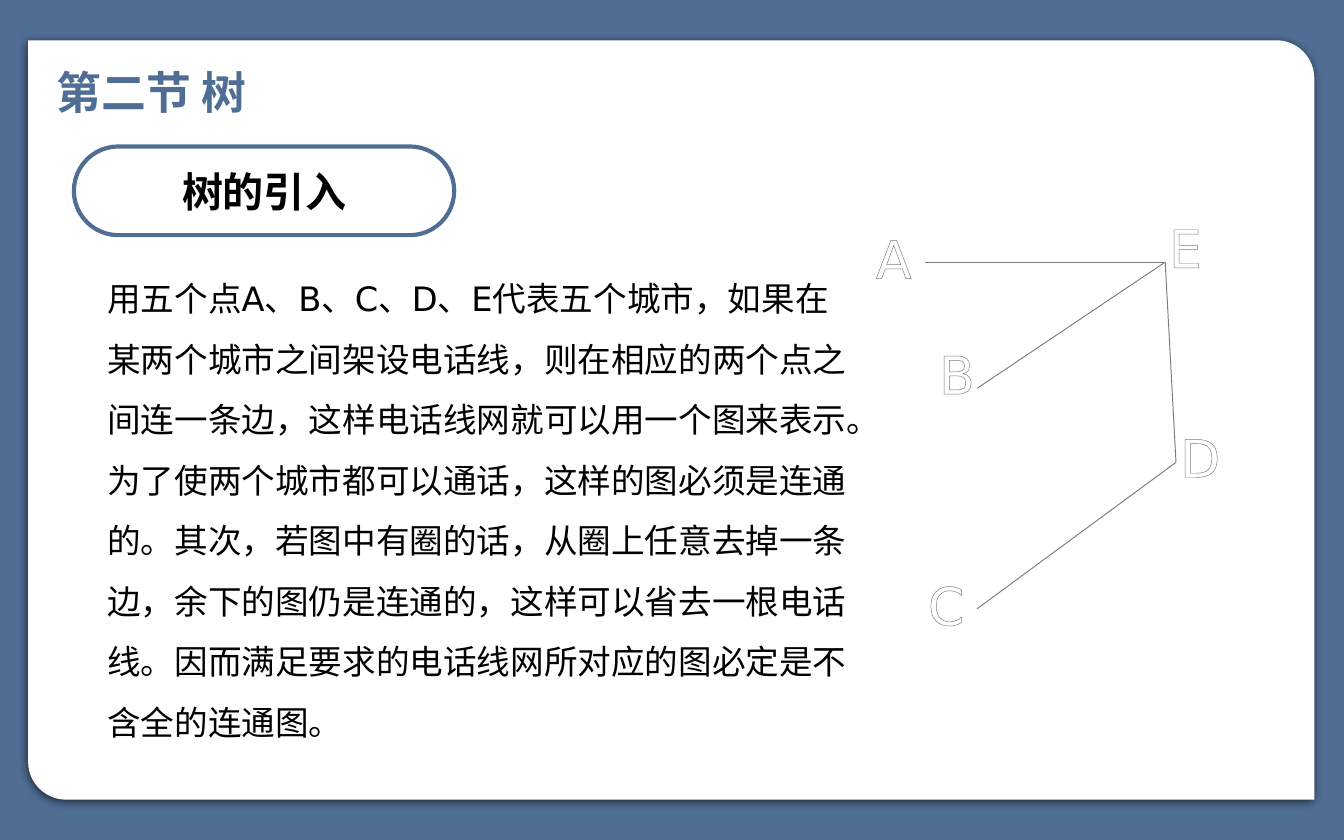
"""Build the slide that introduces trees with a telephone network graph."""
from lxml.etree import SubElement
from pptx import Presentation
from pptx.dml.color import RGBColor as RGB
from pptx.enum.shapes import MSO_CONNECTOR as CONN, MSO_SHAPE as SHAPE
from pptx.enum.text import MSO_ANCHOR as ANCHOR, MSO_AUTO_SIZE as FIT, PP_ALIGN as ALIGN
from pptx.oxml import parse_xml
from pptx.oxml.ns import nsdecls, qn
from pptx.util import Inches, Pt

TITLE = "第二节 树"
TOPIC = "树的引入"
BODY = (
    "用五个点A、B、C、D、E代表五个城市，如果在某两个城市之间架设电话线，"
    "则在相应的两个点之间连一条边，这样电话线网就可以用一个图来表示。"
    "为了使两个城市都可以通话，这样的图必须是连通的。"
    "其次，若图中有圈的话，从圈上任意去掉一条边，余下的图仍是连通的，"
    "这样可以省去一根电话线。因而满足要求的电话线网所对应的图必定是不含全的连通图。"
)
CITIES = {
    "A": {"point": (6.88, 1.95), "label": (6.65, 1.92)},
    "E": {"point": (8.67, 1.95), "label": (8.82, 1.84)},
    "B": {"point": (7.27, 2.89), "label": (7.12, 2.78)},
    "D": {"point": (8.75, 3.44), "label": (8.93, 3.4)},
    "C": {"point": (7.27, 4.53), "label": (7.04, 4.5)},
}
EDGES = ["AE", "ED", "EB", "DC"]
LABEL_SIZE = (0.48, 0.57)

THEME = {
    "font": "DejaVu Sans",
    "blue": RGB.from_string("506E94"),
    "gray": RGB.from_string("797B7E"),
    "white": RGB.from_string("FFFFFF"),
    "black": RGB.from_string("000000"),
    "title": Pt(24), "topic": Pt(22), "body": Pt(18), "label": Pt(28),
}
SHADOW = (
    f'<a:effectLst {nsdecls("a")}><a:outerShdw blurRad="{Pt(4.5)}" dist="{Pt(1.5)}" '
    'dir="5400000" algn="t" rotWithShape="0"><a:srgbClr val="000000">'
    '<a:alpha val="63000"/></a:srgbClr></a:outerShdw></a:effectLst>'
)
OUTLINE = (
    f'<a:ln {nsdecls("a")} w="{Pt(0.8)}"><a:solidFill>'
    f'<a:srgbClr val="{THEME["gray"]}"/></a:solidFill></a:ln>'
)


def place(sp, box):
    for name, value in zip(("left", "top", "width", "height"), box):
        setattr(sp, name, Inches(value))


def write(sp, text, size, color, bold=False, align=ALIGN.LEFT, spacing=1.0, **frame):
    tf = sp.text_frame
    settings = {"word_wrap": True, "auto_size": FIT.NONE, "vertical_anchor": ANCHOR.TOP}
    for name, value in {**settings, **frame}.items():
        setattr(tf, name, value)
    p = tf.paragraphs[0]
    for name, value in {"alignment": align, "line_spacing": spacing, "space_before": Pt(0)}.items():
        setattr(p, name, value)
    r = p.add_run()
    r.text = text
    for name, value in {"name": THEME["font"], "size": THEME[size], "bold": bold}.items():
        setattr(r.font, name, value)
    r.font.color.rgb = THEME[color]
    return r


def add_panel(s):
    sp = s.shapes.add_shape(SHAPE.ROUND_2_DIAG_RECTANGLE, 0, 0, 0, 0)
    place(sp, (0.21, 0.3, 9.57, 5.65))
    sp.adjustments[0], sp.adjustments[1] = 0.05, 0
    sp.fill.solid()
    sp.fill.fore_color.rgb = THEME["white"]
    sp.line.fill.background()
    sp._element.spPr.find(qn("a:xfrm")).set("flipH", "1")
    sp._element.spPr.append(parse_xml(SHADOW))
    s.shapes._spTree.insert(2, sp._element)


def add_topic(s):
    sp = s.shapes.add_shape(SHAPE.ROUNDED_RECTANGLE, 0, 0, 0, 0)
    place(sp, (0.55, 1.09, 2.83, 0.66))
    sp.adjustments[0] = 0.5
    sp.shadow.inherit = False
    sp.fill.solid()
    sp.fill.fore_color.rgb = THEME["white"]
    sp.line.color.rgb = THEME["blue"]
    sp.line.width = Pt(2.25)
    write(sp, TOPIC, "topic", "black", bold=True, align=ALIGN.CENTER,
          word_wrap=False, vertical_anchor=ANCHOR.MIDDLE)


def add_text(s, box, *args, **kwargs):
    sp = s.shapes.add_textbox(0, 0, 0, 0)
    place(sp, box)
    return write(sp, *args, **kwargs)


def add_graph(s):
    for start, end in EDGES:
        ends = [Inches(v) for city in (start, end) for v in CITIES[city]["point"]]
        line = s.shapes.add_connector(CONN.STRAIGHT, *ends)
        line.line.color.rgb = THEME["gray"]
        line.line.width = Pt(0.5)
        SubElement(line._element.spPr, qn("a:effectLst"))
    w, h = LABEL_SIZE
    for city, spot in CITIES.items():
        x, y = spot["label"]
        r = add_text(s, (x - w / 2, y - h / 2, w, h), city, "label", "white",
                     align=ALIGN.CENTER, word_wrap=False)
        r.font._element.insert(0, parse_xml(OUTLINE))


def main():
    prs = Presentation()
    prs.slide_width, prs.slide_height = Inches(10), Inches(6.25)
    s = prs.slides.add_slide(prs.slide_layouts[5])
    s.background.fill.solid()
    s.background.fill.fore_color.rgb = THEME["blue"]
    add_panel(s)
    place(s.shapes.title, (0.32, 0.43, 4.24, 0.5))
    write(s.shapes.title, TITLE, "title", "blue", bold=True)
    add_topic(s)
    add_text(s, (0.7, 1.87, 5.78, 3.74), BODY, "body", "black", spacing=1.5)
    add_graph(s)
    prs.save("out.pptx")


if __name__ == "__main__":
    main()
